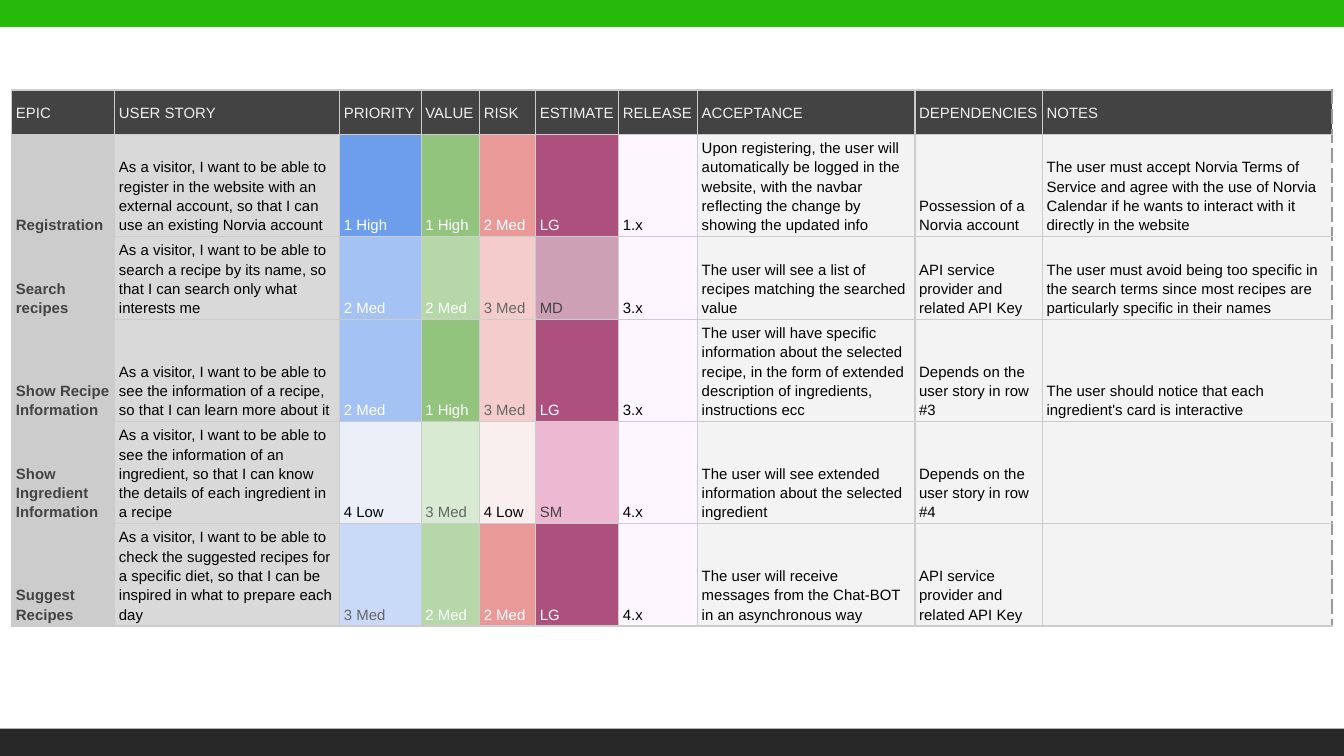
"""Build a slide with a colour-coded user story backlog table."""
from lxml import etree
from pptx import Presentation
from pptx.dml.color import RGBColor
from pptx.enum import shapes, text
from pptx.oxml import ns
from pptx.util import Pt

WHITE = RGBColor(0xFF, 0xFF, 0xFF)
BLACK = RGBColor(0x00, 0x00, 0x00)
GREEN = RGBColor(0x28, 0xBA, 0x0B)
CHARCOAL = RGBColor(0x28, 0x28, 0x28)
DARK_GRAY = RGBColor(0x43, 0x43, 0x43)
MID_GRAY = RGBColor(0x66, 0x66, 0x66)
DASH_GRAY = RGBColor(0x99, 0x99, 0x99)
EPIC_GRAY = RGBColor(0xCC, 0xCC, 0xCC)
STORY_GRAY = RGBColor(0xD9, 0xD9, 0xD9)
HEADER_TEXT = RGBColor(0xEF, 0xEF, 0xEF)
DETAIL_GRAY = RGBColor(0xF3, 0xF3, 0xF3)
RELEASE_LILAC = RGBColor(0xFD, 0xF5, 0xFF)

COLUMN_FILLS = {"EPIC": EPIC_GRAY, "USER STORY": STORY_GRAY, "RELEASE": RELEASE_LILAC}
LEVEL_FILLS = {
    "PRIORITY": {
        "1 High": RGBColor(0x6D, 0x9E, 0xEB),
        "2 Med": RGBColor(0xA4, 0xC2, 0xF4),
        "3 Med": RGBColor(0xC9, 0xDA, 0xF8),
        "4 Low": RGBColor(0xEA, 0xEF, 0xF8),
    },
    "VALUE": {
        "1 High": RGBColor(0x93, 0xC4, 0x7D),
        "2 Med": RGBColor(0xB6, 0xD7, 0xA8),
        "3 Med": RGBColor(0xD9, 0xEA, 0xD3),
    },
    "RISK": {
        "2 Med": RGBColor(0xEA, 0x99, 0x99),
        "3 Med": RGBColor(0xF4, 0xCC, 0xCC),
        "4 Low": RGBColor(0xF9, 0xEF, 0xEF),
    },
    "ESTIMATE": {
        "LG": RGBColor(0xAD, 0x50, 0x7E),
        "MD": RGBColor(0xCE, 0xA0, 0xB6),
        "SM": RGBColor(0xED, 0xB8, 0xD2),
    },
}
LEVEL_TEXT = {"1 High": WHITE, "2 Med": WHITE, "3 Med": MID_GRAY,
              "LG": WHITE, "MD": DARK_GRAY, "SM": DARK_GRAY}

HEADERS = ["EPIC", "USER STORY", "PRIORITY", "VALUE", "RISK", "ESTIMATE",
           "RELEASE", "ACCEPTANCE", "DEPENDENCIES", "NOTES"]
STORIES = [
    ["Registration",
     "As a visitor, I want to be able to register in the website with an external account, "
     "so that I can use an existing Norvia account",
     "1 High", "1 High", "2 Med", "LG", "1.x",
     "Upon registering, the user will automatically be logged in the website, "
     "with the navbar reflecting the change by showing the updated info",
     "Possession of a Norvia account",
     "The user must accept Norvia Terms of Service and agree with the use of "
     "Norvia Calendar if he wants to interact with it directly in the website"],
    ["Search recipes",
     "As a visitor, I want to be able to search a recipe by its name, "
     "so that I can search only what interests me",
     "2 Med", "2 Med", "3 Med", "MD", "3.x",
     "The user will see a list of recipes matching the searched value",
     "API service provider and related API Key",
     "The user must avoid being too specific in the search terms "
     "since most recipes are particularly specific in their names"],
    ["Show Recipe Information",
     "As a visitor, I want to be able to see the information of a recipe, "
     "so that I can learn more about it",
     "2 Med", "1 High", "3 Med", "LG", "3.x",
     "The user will have specific information about the selected recipe, "
     "in the form of extended description of ingredients, instructions ecc",
     "Depends on the user story in row #3",
     "The user should notice that each ingredient's card is interactive"],
    ["Show Ingredient Information",
     "As a visitor, I want to be able to see the information of an ingredient, "
     "so that I can know the details of each ingredient in a recipe",
     "4 Low", "3 Med", "4 Low", "SM", "4.x",
     "The user will see extended information about the selected ingredient",
     "Depends on the user story in row #4", ""],
    ["Suggest Recipes",
     "As a visitor, I want to be able to check the suggested recipes for a specific diet, "
     "so that I can be inspired in what to prepare each day",
     "3 Med", "2 Med", "2 Med", "LG", "4.x",
     "The user will receive messages from the Chat-BOT in an asynchronous way",
     "API service provider and related API Key", ""],
]
COLUMN_WIDTHS = [55.2, 120.5, 43.7, 31.3, 30, 44.5, 42.3, 116.5, 68.3, 155.1]
ROW_HEIGHTS = [24, 28.8, 28.8, 28.8, 20, 20]


def add_border(cell, side, color, dash):
    properties = cell._tc.get_or_add_tcPr()
    line = etree.SubElement(properties, ns.qn(f"a:ln{side}"), w=str(Pt(0.75)))
    fill = etree.SubElement(line, ns.qn("a:solidFill"))
    etree.SubElement(fill, ns.qn("a:srgbClr"), val=str(color))
    etree.SubElement(line, ns.qn("a:prstDash"), val=dash)


presentation = Presentation()
presentation.slide_width = Pt(720)
presentation.slide_height = Pt(405)
slide = presentation.slides.add_slide(presentation.slide_layouts[6])

for top, color in [(390.4, CHARCOAL), (-4.3, GREEN)]:
    bar = slide.shapes.add_shape(
        shapes.MSO_SHAPE.RECTANGLE, Pt(-5), Pt(top), Pt(730), Pt(18.7))
    bar.shadow.inherit = False
    bar.fill.solid()
    bar.fill.fore_color.rgb = color
    bar.line.fill.background()

frame = slide.shapes.add_table(
    len(ROW_HEIGHTS), len(HEADERS), Pt(6.3), Pt(48.2),
    Pt(sum(COLUMN_WIDTHS)), Pt(sum(ROW_HEIGHTS)))
backlog = frame.table
backlog.first_row = False
backlog.horz_banding = False
for column, width in zip(backlog.columns, COLUMN_WIDTHS):
    column.width = Pt(width)
for row, height in zip(backlog.rows, ROW_HEIGHTS):
    row.height = Pt(height)

for row_index, values in enumerate([HEADERS] + STORIES):
    for column_index, (header, value) in enumerate(zip(HEADERS, values)):
        is_header = row_index == 0
        is_epic = header == "EPIC" and not is_header
        if is_header:
            fill_color, text_color = DARK_GRAY, HEADER_TEXT
        elif header in LEVEL_FILLS:
            fill_color = LEVEL_FILLS[header][value]
            text_color = LEVEL_TEXT.get(value, BLACK)
        else:
            fill_color = COLUMN_FILLS.get(header, DETAIL_GRAY)
            text_color = DARK_GRAY if is_epic else BLACK

        cell = backlog.cell(row_index, column_index)
        for side in "LRTB":
            if side == "R" and header == "NOTES":
                add_border(cell, side, DASH_GRAY, "dash")
            else:
                add_border(cell, side, EPIC_GRAY, "solid")
        cell.fill.solid()
        cell.fill.fore_color.rgb = fill_color
        cell.margin_left = cell.margin_right = Pt(2.25)
        cell.margin_top = cell.margin_bottom = Pt(1.5)
        cell.vertical_anchor = (
            text.MSO_ANCHOR.MIDDLE if is_header else text.MSO_ANCHOR.BOTTOM)
        cell.text_frame.text = value
        paragraph = cell.text_frame.paragraphs[0]
        paragraph.line_spacing = 1.15
        for run in paragraph.runs:
            run.font.name = "Arial"
            run.font.size = Pt(8)
            run.font.bold = is_epic
            run.font.color.rgb = text_color

presentation.save("out.pptx")
